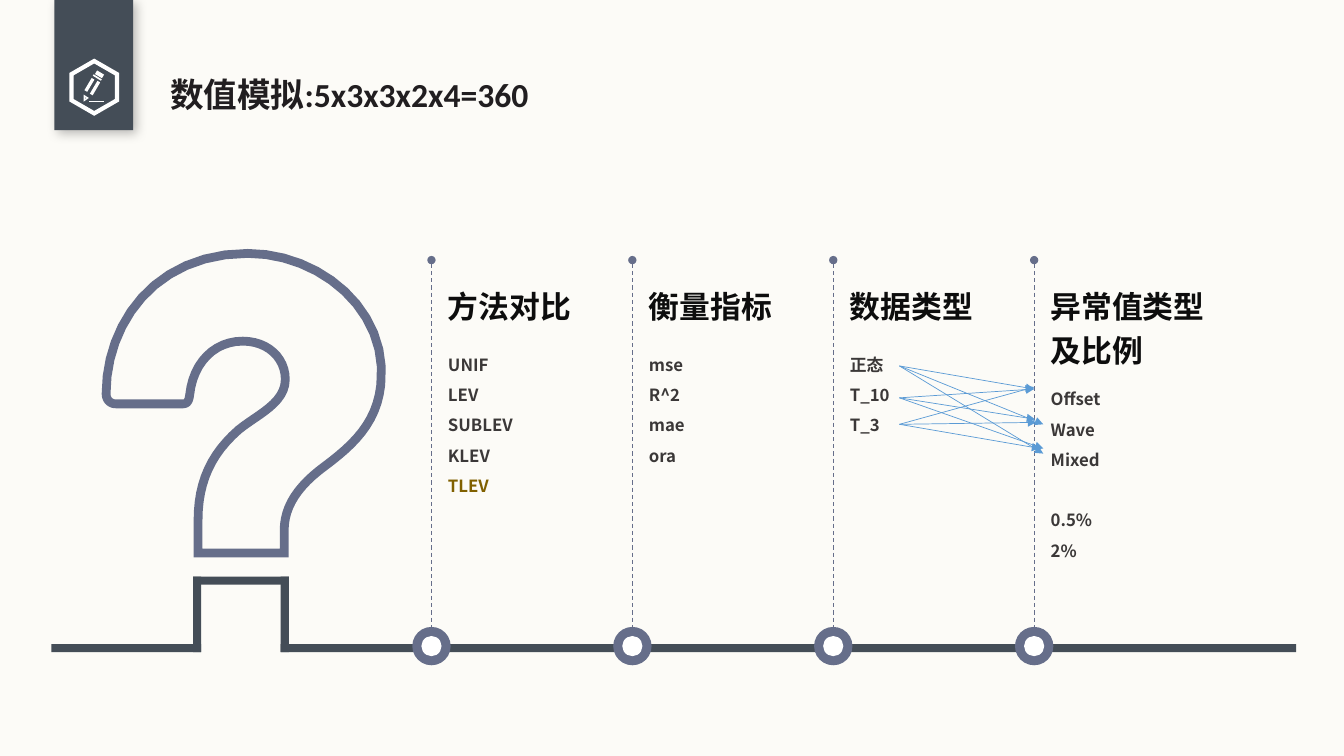
from dataclasses import dataclass
from math import cos, pi, sin

from lxml import etree
from pptx import Presentation, util as u
from pptx.dml.color import RGBColor
from pptx.enum import dml, shapes, text
from pptx.oxml import ns
from pptx.shapes.autoshape import Shape
from pptx.slide import Slide

PAPER = RGBColor(0xFC, 0xFB, 0xF7)
SLATE = RGBColor(0x44, 0x4D, 0x57)
VIOLET = RGBColor(0x66, 0x6E, 0x8A)
WHITE = RGBColor(0xFF, 0xFF, 0xFF)
TITLE_INK = RGBColor(0x21, 0x1E, 0x20)
HEADING_INK = RGBColor(0x0D, 0x0D, 0x0D)
ITEM_INK = RGBColor(0x3B, 0x38, 0x38)
OLIVE = RGBColor(0x80, 0x60, 0x00)
ARROW_BLUE = RGBColor(0x5B, 0x9B, 0xD5)
CJK_FONT = "Noto Sans CJK SC"
CURVE_STEPS = 12
FIRST_AXIS, AXIS_STEP = 308.2, 143.5
AXIS_TOP, RING_TOP, RING_CENTRE = 185.8, 447.8, 461.5
BAR, PIERS, PIER_TOP, ROAD_TOP = 5.8, (137.9, 200.5), 411.8, 460.1
ROAD_LEFT, ROAD_RIGHT = 36.7, 925.9
ARROW_START = 642.5

Points = list[tuple[float, ...]]


@dataclass(frozen=True)
class Column:
    heading: str
    items: tuple[str, ...]
    list_top: float = 246.2
    gap_before: str = ""
    accent: str = ""


@dataclass(frozen=True)
class ArrowFan:
    start_y: float
    ends: Points


@dataclass(frozen=True)
class Area:
    left: float
    top: float
    width: float
    height: float


@dataclass(frozen=True)
class Stroke:
    colour: RGBColor
    width: float
    end: str = ""
    mark: str = ""


COLUMNS = (
    Column("方法对比", ("UNIF", "LEV", "SUBLEV", "KLEV", "TLEV"), accent="TLEV"),
    Column("衡量指标", ("mse", "R^2", "mae", "ora")),
    Column("数据类型", ("正态", "T_10", "T_3")),
    Column("异常值类型及比例", ("Offset", "Wave", "Mixed", "0.5%", "2%"), 270.7, "0.5%"),
)
FANS = (
    ArrowFan(261.4, [(738.7, 277.9), (745.2, 303.1), (745.2, 324)]),
    ArrowFan(284.2, [(738.7, 277.9), (739.4, 299.5), (745.2, 320.4)]),
    ArrowFan(303.1, [(738.7, 276.5), (740.2, 301.7), (743, 320.4)]),
)
QUESTION_MARK: Points = [
    (83, 288.5), (130.5, 288.5), (134, 288.5, 135, 286, 135.5, 282),
    (138, 259, 153, 243.7, 173.5, 243.7), (191, 243.7, 203.8, 255.5, 203.8, 271),
    (203.8, 288, 184, 296, 170.5, 307), (151, 324, 141.5, 344, 141.5, 371.5),
    (141.5, 395), (203, 395), (203, 379), (203, 361.5, 213, 347, 232, 333),
    (252, 318, 269, 302.5, 272, 275), (278, 222, 229, 181, 177, 181),
    (110, 181, 75.8, 232, 75.8, 281), (75.8, 285, 78, 288.5, 83, 288.5),
]
PENCIL_STROKES: tuple[tuple[Points, float], ...] = (
    ([(61.3, 65), (66.5, 56.3)], 2.3), ([(65.2, 67.5), (70.6, 58.3)], 2.3),
    ([(66.6, 53.6), (72.4, 57.2)], 1.2), ([(68.6, 51.6), (73.6, 54.6)], 3),
    ([(63.6, 72.4), (74, 72.4)], 1),
)


def clear_fill(shape: Shape) -> None:
    shape.shadow.inherit = False
    shape.fill.background()


def paint(shape: Shape, colour: RGBColor) -> Shape:
    shape.shadow.inherit = False
    shape.fill.solid()
    shape.fill.fore_color.rgb = colour
    shape.line.fill.background()
    return shape


def add_filled(page: Slide, kind: shapes.MSO_SHAPE, area: Area, colour: RGBColor) -> Shape:
    lengths = map(u.Pt, (area.left, area.top, area.width, area.height))
    return paint(page.shapes.add_shape(kind, *lengths), colour)


def add_disc(page: Slide, x: float, diameter: float, colour: RGBColor) -> None:
    area = Area(x - diameter / 2, RING_CENTRE - diameter / 2, diameter, diameter)
    add_filled(page, shapes.MSO_SHAPE.OVAL, area, colour)


def flatten(contour: Points) -> Points:
    points = [contour[0]]
    for step in contour[1:]:
        if len(step) == 2:
            points.append(step)
            continue
        ax, ay = points[-1]
        bx, by, cx, cy, dx, dy = step
        for index in range(1, CURVE_STEPS + 1):
            t = index / CURVE_STEPS
            a, b, c, d = (1 - t) ** 3, 3 * t * (1 - t) ** 2, 3 * t * t * (1 - t), t ** 3
            points.append((a * ax + b * bx + c * cx + d * dx, a * ay + b * by + c * cy + d * dy))
    return points


def add_outline(page: Slide, contour: Points, stroke: Stroke) -> None:
    points = [(u.Pt(x), u.Pt(y)) for x, y in flatten(contour)]
    builder = page.shapes.build_freeform(*points[0])
    builder.add_line_segments(points[1:], close=True)
    outline = builder.convert_to_shape()
    clear_fill(outline)
    outline.line.color.rgb = stroke.colour
    outline.line.width = u.Pt(stroke.width)
    etree.SubElement(outline._element.spPr.find(ns.qn("a:ln")), ns.qn("a:miter"), lim="800000")


def add_line(page: Slide, points: Points, stroke: Stroke) -> None:
    lengths = [u.Pt(length) for point in points for length in point]
    line = page.shapes.add_connector(shapes.MSO_CONNECTOR.STRAIGHT, *lengths)
    line.line.color.rgb = stroke.colour
    line.line.width = u.Pt(stroke.width)
    if stroke.end == "headEnd":
        line.line.dash_style = dml.MSO_LINE.DASH
    properties = line._element.spPr
    if stroke.end:
        etree.SubElement(properties.find(ns.qn("a:ln")), ns.qn(f"a:{stroke.end}"), type=stroke.mark)
    etree.SubElement(properties, ns.qn("a:effectLst"))


def add_text(page: Slide, area: Area, lines: tuple[str, ...], size: float, colour: RGBColor,
             spacing: float, font: str = CJK_FONT, inset: tuple[float, float] = (0, 0)) -> Shape:
    box = page.shapes.add_textbox(*map(u.Pt, (area.left, area.top, area.width, area.height)))
    frame = box.text_frame
    frame.word_wrap = True
    frame.margin_left = frame.margin_right = u.Pt(inset[0])
    frame.margin_top = frame.margin_bottom = u.Pt(inset[1])
    frame.text = "\n".join(lines)
    for para in frame.paragraphs:
        para.line_spacing = spacing
        for span in para.runs:
            span.font.name, span.font.size, span.font.bold = font, u.Pt(size), True
            span.font.color.rgb = colour
            etree.SubElement(span._r.get_or_add_rPr(), ns.qn("a:ea"), typeface=CJK_FONT)
    return box


def add_column(page: Slide, column: Column, x: float) -> None:
    add_disc(page, x, 27.4, VIOLET)
    add_disc(page, x, 14.4, WHITE)
    add_line(page, [(x, AXIS_TOP), (x, RING_TOP)], Stroke(VIOLET, 0.75, "headEnd", "oval"))
    add_text(page, Area(x + 11.8, 200.2, 111.6, 29.5), (column.heading,), 22, HEADING_INK, 1.2)
    area = Area(x + 11.8, column.list_top, 111.6, 21.6 * len(column.items))
    items = add_text(page, area, column.items, 12, ITEM_INK, 1.5)
    for para in items.text_frame.paragraphs:
        para.alignment = text.PP_ALIGN.JUSTIFY
        if para.text == column.gap_before:
            para.space_before = u.Pt(21.6)
        if para.text == column.accent:
            para.runs[0].font.color.rgb = OLIVE


def add_ribbon(page: Slide) -> None:
    ribbon = add_filled(page, shapes.MSO_SHAPE.RECTANGLE, Area(38.9, 0, 56.2, 92.9), SLATE)
    effects = ribbon._element.spPr.find(ns.qn("a:effectLst"))
    shadow = etree.SubElement(effects, ns.qn("a:outerShdw"), blurRad=str(u.Pt(8)),
                              dist=str(u.Pt(3)), dir="2700000", algn="tl", rotWithShape="0")
    black = etree.SubElement(shadow, ns.qn("a:srgbClr"), val="000000")
    etree.SubElement(black, ns.qn("a:alpha"), val="25000")
    corners = [pi / 6 + side * pi / 3 for side in range(6)]
    hexagon = [(67.3 + 18.7 * cos(angle), 62.3 + 18.7 * sin(angle)) for angle in corners]
    add_outline(page, hexagon, Stroke(WHITE, 3))
    for points, width in PENCIL_STROKES:
        add_line(page, points, Stroke(WHITE, width))
    add_outline(page, [(60.3, 68.5), (62.6, 70), (60.3, 71.6)], Stroke(WHITE, 1))


def add_road(page: Slide) -> None:
    left, right = PIERS
    height = ROAD_TOP + BAR - PIER_TOP
    bars = [Area(pier, PIER_TOP, BAR, height) for pier in PIERS]
    bars.append(Area(left, PIER_TOP, right + BAR - left, BAR))
    bars.append(Area(ROAD_LEFT, ROAD_TOP, left + BAR - ROAD_LEFT, BAR))
    bars.append(Area(right, ROAD_TOP, ROAD_RIGHT - right, BAR))
    for bar in bars:
        add_filled(page, shapes.MSO_SHAPE.RECTANGLE, bar, SLATE)


def main() -> None:
    deck = Presentation()
    deck.slide_width, deck.slide_height = u.Pt(960), u.Pt(540)
    page = deck.slides.add_slide(deck.slide_layouts[6])
    page.background.fill.solid()
    page.background.fill.fore_color.rgb = PAPER
    add_ribbon(page)
    add_text(page, Area(114.5, 43.2, 285.8, 36), ("数值模拟:5x3x3x2x4=360",), 24, TITLE_INK,
             1.2, "Calibri", (7.2, 3.6))
    add_outline(page, QUESTION_MARK, Stroke(VIOLET, 6.3))
    add_road(page)
    for index, column in enumerate(COLUMNS):
        add_column(page, column, FIRST_AXIS + index * AXIS_STEP)
    for fan in FANS:
        for end in fan.ends:
            add_line(page, [(ARROW_START, fan.start_y), end],
                     Stroke(ARROW_BLUE, 0.5, "tailEnd", "triangle"))
    deck.save("out.pptx")


if __name__ == "__main__":
    main()
